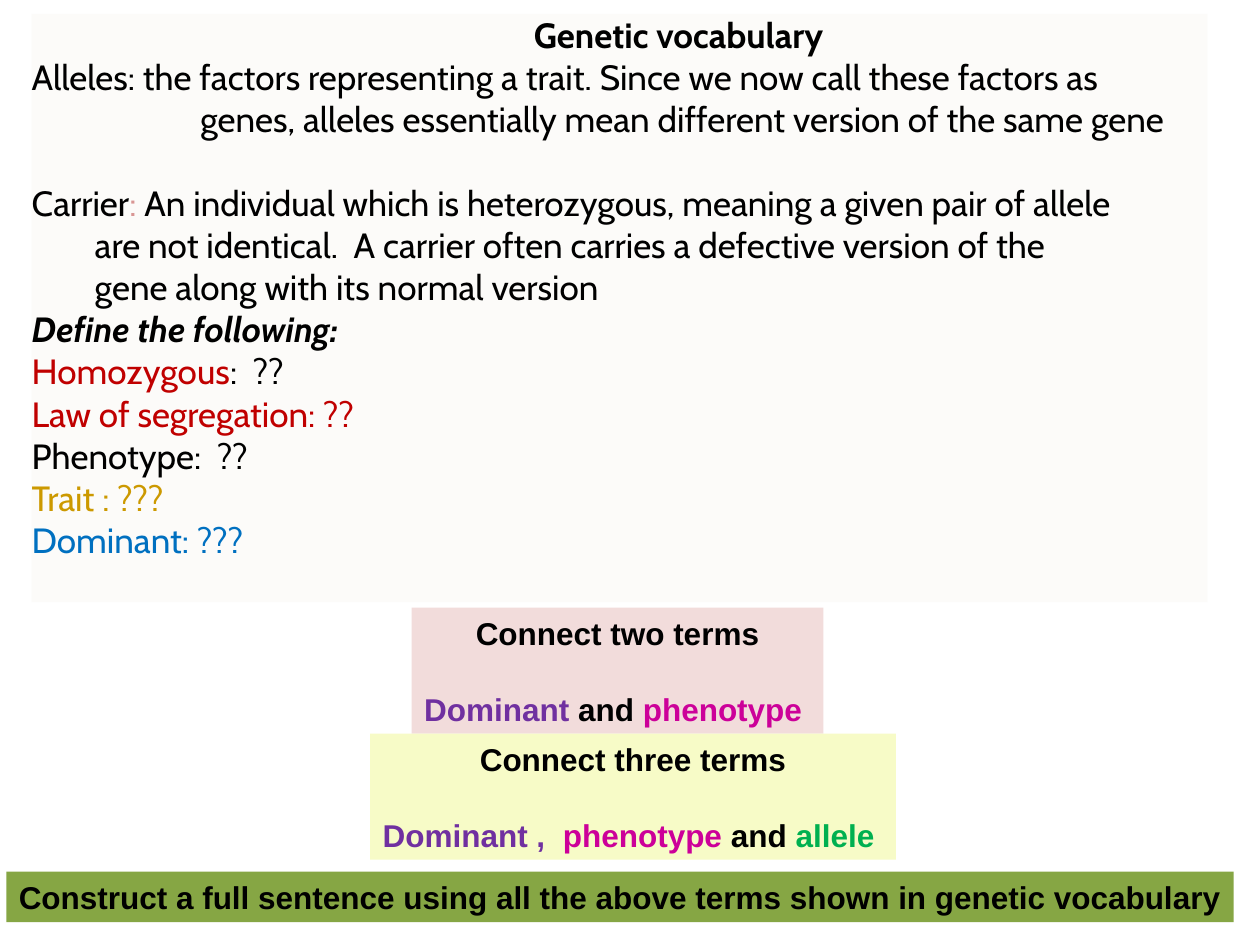
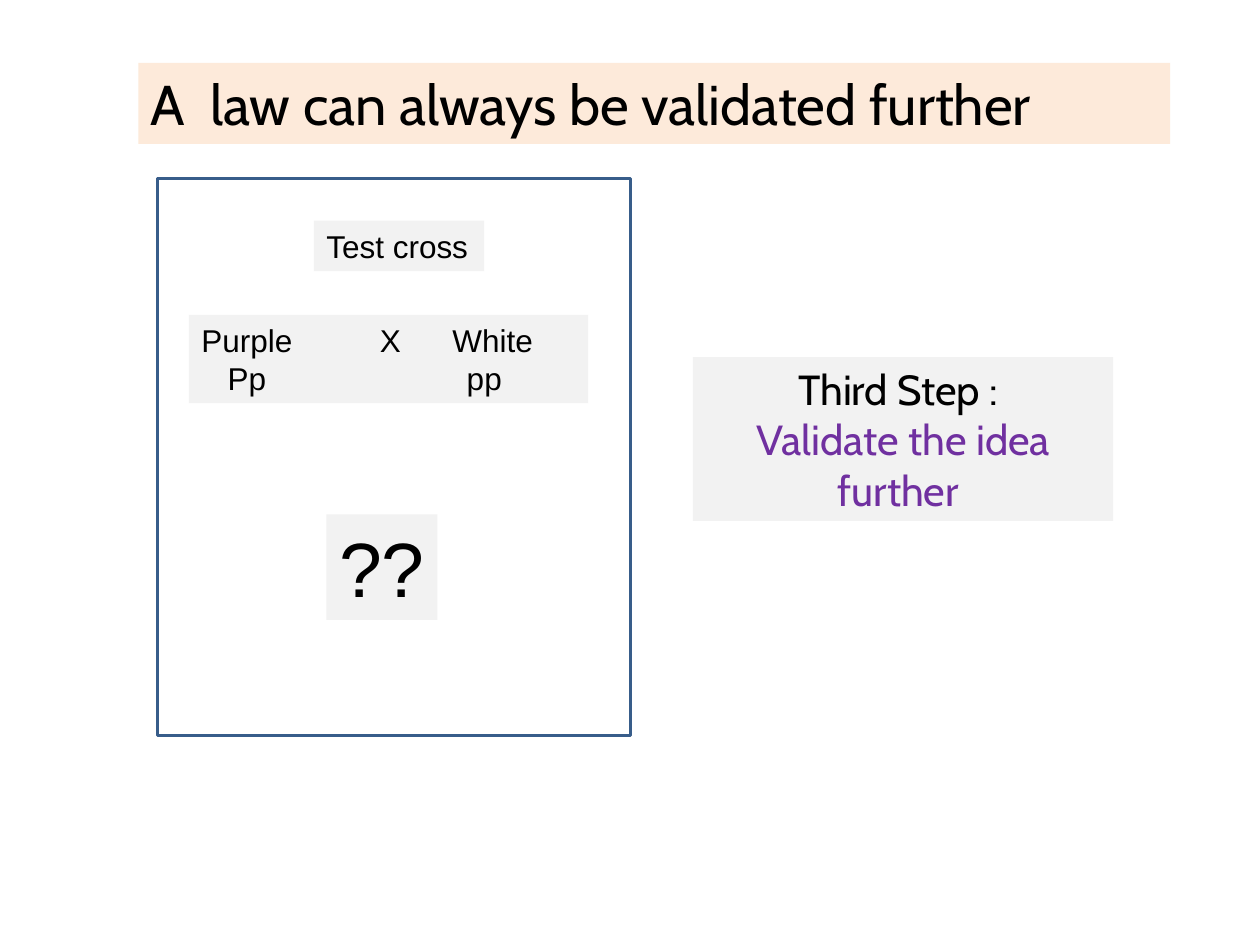
from lxml import etree
from pptx import Presentation
from pptx import util as u
from pptx.dml.color import RGBColor
from pptx.enum import shapes, text
from pptx.oxml.ns import qn

BLACK, RED, BLUE, GOLD = "000000", "C00000", "0070C0", "CC9900"
VIOLET, PINK, GREEN, ROSE = "7030A0", "CC0099", "00B050", "D99694"
GREY = "F2F2F2"
MID = text.PP_ALIGN.CENTER
LEFT = text.PP_ALIGN.LEFT


def hue(code):
    return RGBColor.from_string(code)


class Deck:
    """Hold the shared style and the current slide."""

    lead = 1.2
    pad = (0.25, 0.13, 0.25, 0.13)

    def __init__(self):
        self.prs = Presentation()
        self.prs.slide_width, self.prs.slide_height = u.Cm(25.4), u.Cm(19.05)

    def page(self):
        self.slide = self.prs.slides.add_slide(self.prs.slide_layouts[6])

    def rect(self, at, fill=None, line=None):
        box = self.slide.shapes.add_shape(
            shapes.MSO_SHAPE.RECTANGLE, *(u.Cm(n) for n in at))
        box.shadow.inherit = False
        if fill:
            box.fill.solid()
            box.fill.fore_color.rgb = hue(fill)
        else:
            box.fill.background()
        if line:
            box.line.color.rgb = hue(line)
            box.line.width = u.Pt(2)
        else:
            box.line.fill.background()
        return box

    def note(self, at, fill, lines, size=18, font="Arial", bold=False,
             align=LEFT, wrap=True, pad=pad):
        frame = self.rect(at, fill).text_frame
        frame.word_wrap = wrap
        frame.vertical_anchor = text.MSO_ANCHOR.TOP
        (frame.margin_left, frame.margin_top,
         frame.margin_right, frame.margin_bottom) = (u.Cm(n) for n in pad)
        for i, line in enumerate(lines):
            para = frame.add_paragraph() if i else frame.paragraphs[0]
            self.fill(para, line, size, font, bold, align)

    def fill(self, para, line, size, font, bold, align):
        runs, opts = line if isinstance(line, tuple) else (line, {})
        para.alignment = opts.get("align", align)
        para.line_spacing = u.Pt(size * self.lead)
        if opts.get("gap"):
            para.space_before = u.Pt(size * self.lead)
        props = para._p.get_or_add_pPr()
        if "left" in opts:
            props.set("marL", str(u.Cm(opts["left"])))
            props.set("indent", "0")
        if "tabs" in opts:
            stops = etree.SubElement(props, qn("a:tabLst"))
            for stop in opts["tabs"]:
                etree.SubElement(stops, qn("a:tab"), pos=str(u.Cm(stop)), algn="l")
        for words, code in [(runs, BLACK)] if isinstance(runs, str) else runs:
            run = para.add_run()
            run.text = words
            run.font.name, run.font.size = font, u.Pt(size)
            run.font.bold = opts.get("bold", bold)
            run.font.italic = opts.get("slant", False)
            run.font.color.rgb = hue(code)


def vocab(deck):
    deck.page()
    deck.note((0.64, 0.28, 23.7, 11.86), "FCFBF9", [
        ("Genetic vocabulary ", {"align": MID, "bold": True}),
        "Alleles: the factors representing a trait. Since we now call these factors as",
        ("genes, alleles essentially mean different version of the same gene",
         {"align": MID}),
        ([("Carrier", BLACK), (": ", ROSE),
          ("An individual which is heterozygous, meaning a given pair of allele", BLACK)],
         {"gap": True}),
        ("are not identical.  A carrier often carries a defective version of the",
         {"left": 1.27}),
        ("gene along with its normal version", {"left": 1.27}),
        ("Define the following:", {"bold": True, "slant": True}),
        [("Homozygous", RED), (":  ??", BLACK)],
        [("Law of segregation: ??", RED)],
        "Phenotype:  ??",
        [("Trait : ???", GOLD)],
        [("Dominant: ???", BLUE)],
    ], 20, "Cabin", pad=(0, 0, -2.54, 0))
    tasks = [
        ((8.3, 12.25, 8.3, 2.54), "F2DCDB", "Connect two terms",
         [("Dominant ", VIOLET), ("and ", BLACK), ("phenotype ", PINK)]),
        ((7.46, 14.79, 10.6, 2.54), "F7FBC7", "Connect three terms",
         [("Dominant ,  ", VIOLET), ("phenotype ", PINK), ("and ", BLACK),
          ("allele ", GREEN)]),
    ]
    for at, fill, head, terms in tasks:
        deck.note(at, fill, [head, (terms, {"gap": True})],
                  bold=True, align=MID, wrap=False)
    deck.note((0.13, 17.57, 24.74, 1.02), "86A644", [
        "Construct a full sentence using all the above terms shown in genetic vocabulary",
    ], bold=True, align=MID, wrap=False)


def cross(deck):
    deck.page()
    deck.note((13.97, 7.2, 8.47, 3.3), GREY, [
        "Third Step : ", [("Validate the idea further ", VIOLET)],
    ], 24, "Cabin", align=MID)
    deck.note((6.33, 4.45, 3.43, 1.02), GREY, ["Test cross"])
    deck.note((3.81, 6.35, 8.05, 1.78), GREY, [
        ("Purple\tX\tWhite", {"tabs": (3.6, 5.06)}),
        ("\tPp\tpp", {"tabs": (0.53, 5.35)}),
    ])
    deck.note((6.58, 10.37, 2.24, 2.13), GREY, ["??"], 44, align=MID, wrap=False)
    deck.rect((3.18, 3.6, 9.53, 11.23), line="385D8A")
    deck.note((2.79, 1.27, 20.8, 1.63), "FDEADA",
              ["A  law can always be validated further"], 32, "Cabin")


def main():
    deck = Deck()
    vocab(deck)
    cross(deck)
    deck.prs.save("out.pptx")


if __name__ == "__main__":
    main()
